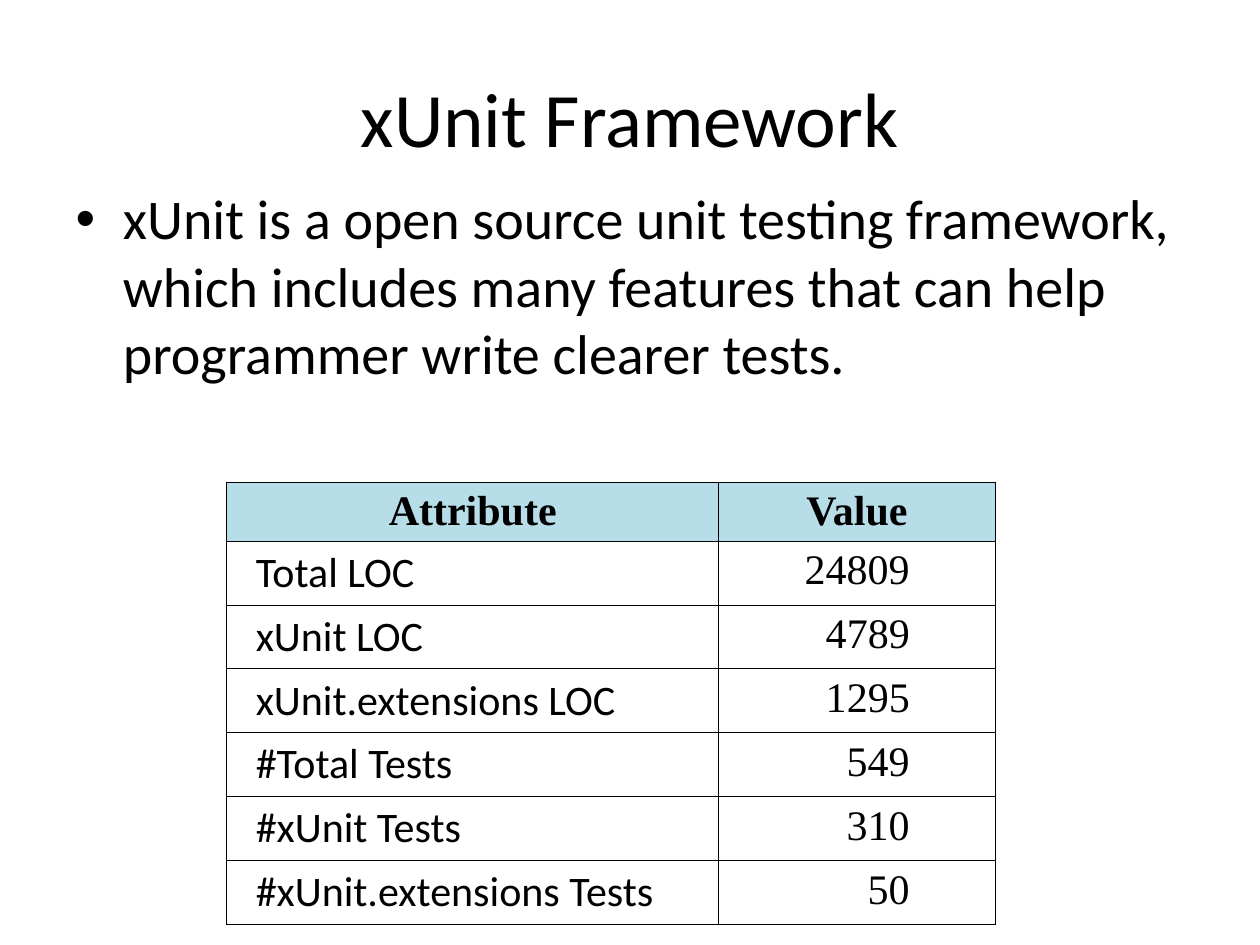
from lxml import etree
from pptx import Presentation, util as u
from pptx.dml.color import RGBColor
from pptx.enum import text as t
from pptx.oxml import ns

BLACK = RGBColor(0x00, 0x00, 0x00)
HEADER_BLUE = RGBColor(0xB7, 0xDE, 0xE8)
SANS, SERIF = "Calibri", "Times New Roman"

WIDTH, HEIGHT = u.Inches(10), u.Inches(7.5)

METRICS = [
    ("Attribute", "Value"),
    ("Total LOC", "24809"),
    ("xUnit LOC", "4789"),
    ("xUnit.extensions LOC", "1295"),
    ("#Total Tests", "549"),
    ("#xUnit Tests", "310"),
    ("#xUnit.extensions Tests", "50"),
]


def share(left, top, width, height):
    """Turn shares of the slide's size into a box."""
    return (round(WIDTH * left), round(HEIGHT * top),
            round(WIDTH * width), round(HEIGHT * height))


def place(shape, box):
    shape.left, shape.top, shape.width, shape.height = box


def add_span(para, words, size, font, bold=False):
    span = para.add_run()
    span.text = words
    span.font.size = u.Pt(size)
    span.font.name = font
    span.font.bold = bold
    span.font.color.rgb = BLACK


def fill_title(page, box):
    title = page.shapes.title
    place(title, box)
    frame = title.text_frame
    frame.auto_size = t.MSO_AUTO_SIZE.NONE
    frame.vertical_anchor = t.MSO_ANCHOR.MIDDLE
    para = frame.paragraphs[0]
    para.alignment = t.PP_ALIGN.CENTER
    add_span(para, "xUnit Framework", 44, SANS)


def fill_body(page, box):
    body = page.placeholders[1]
    place(body, box)
    frame = body.text_frame
    frame.auto_size = t.MSO_AUTO_SIZE.NONE
    para = frame.paragraphs[0]
    para.space_before = u.Pt(0)
    add_span(para, "xUnit is a open source unit testing framework, which includes "
                   "many features that can help programmer write clearer tests.", 32, SANS)


def add_borders(cell):
    props = cell._tc.get_or_add_tcPr()
    for side in ("a:lnL", "a:lnR", "a:lnT", "a:lnB"):
        line = etree.SubElement(props, ns.qn(side), w=str(u.Pt(0.45)))
        paint = etree.SubElement(line, ns.qn("a:solidFill"))
        etree.SubElement(paint, ns.qn("a:srgbClr"), val=str(BLACK))


def add_metrics(page, box):
    table = page.shapes.add_table(len(METRICS), 2, *box).table
    for column, part in zip(table.columns, (0.64, 0.36)):
        column.width = round(box[2] * part)

    for row, record in enumerate(METRICS):
        for col, words in enumerate(record):
            cell = table.cell(row, col)
            add_borders(cell)
            cell.margin_left = cell.margin_right = u.Inches(0.08)
            cell.margin_top = cell.margin_bottom = u.Inches(0.05)
            para = cell.text_frame.paragraphs[0]
            if row == 0:  # header
                cell.fill.solid()
                cell.fill.fore_color.rgb = HEADER_BLUE
                para.alignment = t.PP_ALIGN.CENTER
            else:
                cell.fill.background()
                if col == 0:  # indented labels
                    cell.margin_left = u.Inches(0.23)
                    para.alignment = t.PP_ALIGN.LEFT
                else:  # numbers share a right edge
                    cell.margin_right = u.Inches(0.68)
                    para.alignment = t.PP_ALIGN.RIGHT
            font = SANS if row and col == 0 else SERIF
            add_span(para, words, 24, font, bold=row == 0)


def main():
    deck = Presentation()
    deck.slide_width, deck.slide_height = WIDTH, HEIGHT
    page = deck.slides.add_slide(deck.slide_layouts[1])
    fill_title(page, share(0.05, 0.04, 0.9, 0.167))
    fill_body(page, share(0.05, 0.188, 0.9, 0.288))
    add_metrics(page, share(0.18, 0.51, 0.61, 0.407))
    deck.save("out.pptx")


if __name__ == "__main__":
    main()
